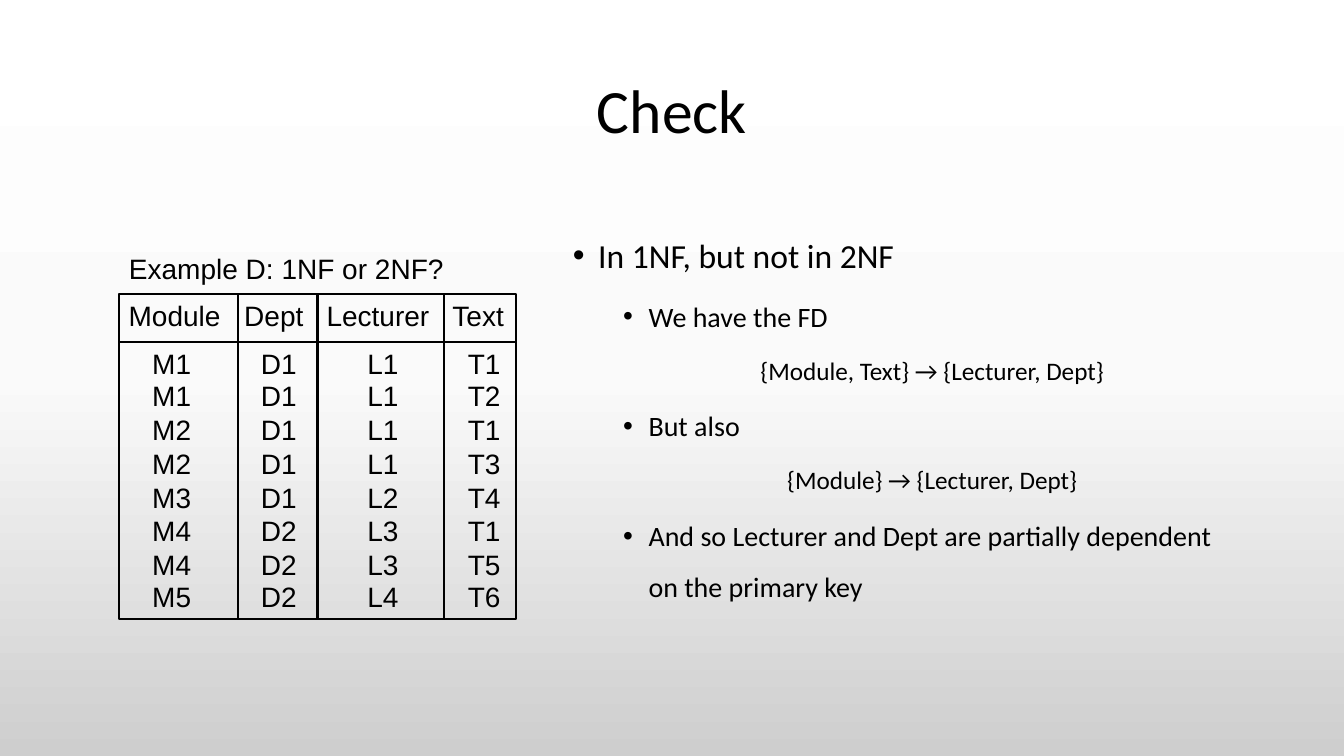
from copy import deepcopy
from dataclasses import dataclass
from itertools import accumulate

from lxml.etree import SubElement
from pptx import Presentation
from pptx.dml.color import RGBColor
from pptx.enum.shapes import MSO_CONNECTOR, MSO_SHAPE
from pptx.enum.text import MSO_ANCHOR, MSO_AUTO_SIZE, PP_ALIGN
from pptx.oxml.ns import qn
from pptx.util import Cm, Pt


@dataclass(frozen=True)
class Theme:
    ink: str = "000000"
    background: tuple = ((0, "FFFFFF"), (0.5, "FAFAFA"), (1, "CECECE"))
    text_font: str = "Calibri"
    table_font: str = "Arial"
    title: int = 44
    point: int = 24
    subpoint: int = 20
    formula: int = 18
    table: int = 20
    rule: float = 1.5


theme = Theme()


def style_runs(para, font_name, size):
    for span in para.runs:
        span.font.name = font_name
        span.font.size = Pt(size)
        span.font.color.rgb = RGBColor.from_string(theme.ink)


def style_line(line):
    line.color.rgb = RGBColor.from_string(theme.ink)
    line.width = Pt(theme.rule)


# Deck and page
deck = Presentation()
deck.slide_width, deck.slide_height = Cm(33.87), Cm(19.05)
page = deck.slides.add_slide(deck.slide_layouts[1])

# Background gradient, top to bottom
backdrop = page.background.fill
backdrop.gradient()
backdrop.gradient_angle = 270
stop_list = next(page._element.iter(qn("a:gsLst")))
stop_list.append(deepcopy(stop_list[-1]))
for stop, (position, color) in zip(backdrop.gradient_stops, theme.background):
    stop.position = position
    stop.color.rgb = RGBColor.from_string(color)

# Title
title = page.shapes.title
title.left, title.top, title.width, title.height = Cm(2.33), Cm(1.01), Cm(29.21), Cm(3.68)
title.text_frame.text = "Check"
title.text_frame.vertical_anchor = MSO_ANCHOR.MIDDLE
title_para = title.text_frame.paragraphs[0]
title_para.alignment = PP_ALIGN.CENTER
title_para.line_spacing = 0.9
style_runs(title_para, theme.text_font, theme.title)

# Answer list: text, size, level, bulleted
answers = [
    ("In 1NF, but not in 2NF", theme.point, 0, True),
    ("We have the FD", theme.subpoint, 1, True),
    ("{Module, Text} → {Lecturer, Dept}", theme.formula, 1, False),
    ("But also", theme.subpoint, 1, True),
    ("{Module} → {Lecturer, Dept}", theme.formula, 1, False),
    ("And so Lecturer and Dept are partially dependent on the primary key",
     theme.subpoint, 1, True),
]
body = page.placeholders[1]
body.left, body.top, body.width, body.height = Cm(14.18), Cm(5.29), Cm(17.36), Cm(12.07)
frame = body.text_frame
frame.auto_size = MSO_AUTO_SIZE.NONE
frame.vertical_anchor = MSO_ANCHOR.TOP
for index, (text, size, level, bulleted) in enumerate(answers):
    para = frame.add_paragraph() if index else frame.paragraphs[0]
    para.text = text
    para.level = level
    para.line_spacing = 1.5
    para.space_before = Pt(5 if index else 0)
    para.alignment = PP_ALIGN.LEFT if bulleted else PP_ALIGN.CENTER
    properties = para._p.get_or_add_pPr()
    properties.set("marL", str(Cm(0.64 + 1.27 * level)))
    properties.set("indent", str(-Cm(0.64)))
    if bulleted:
        bullet_color = SubElement(properties, qn("a:buClr"))
        SubElement(bullet_color, qn("a:srgbClr"), val=theme.ink)
        SubElement(properties, qn("a:buFont"), typeface="Arial")
        SubElement(properties, qn("a:buChar"), char="•")
    else:
        SubElement(properties, qn("a:buNone"))
    style_runs(para, theme.text_font, size)

# Table caption
caption = page.shapes.add_textbox(Cm(3), Cm(6.22), Cm(10), Cm(1.2))
caption.text_frame.word_wrap = True
caption.text_frame.text = "Example D: 1NF or 2NF?"
style_runs(caption.text_frame.paragraphs[0], theme.table_font, theme.table)

# Example table
records = [
    ("Module", "Dept", "Lecturer", "Text"),
    ("M1", "D1", "L1", "T1"),
    ("M1", "D1", "L1", "T2"),
    ("M2", "D1", "L1", "T1"),
    ("M2", "D1", "L1", "T3"),
    ("M3", "D1", "L2", "T4"),
    ("M4", "D2", "L3", "T1"),
    ("M4", "D2", "L3", "T5"),
    ("M5", "D2", "L4", "T6"),
]
column_widths = [3, 2, 3.2, 1.8]
row_heights = [1.2, 0.97] + [0.85] * 6 + [0.93]
left, top = 3, 7.41
right, bottom = left + sum(column_widths), top + sum(row_heights)
last_row = len(records) - 1
table = page.shapes.add_table(len(records), len(column_widths), Cm(left), Cm(top),
                              Cm(right - left), Cm(bottom - top)).table
table.first_row = table.horz_banding = False
# Built-in style "No Style, No Grid"
style_id = next(table._tbl.iter(qn("a:tableStyleId")))
style_id.text = "{2D5ABB26-0587-4C30-8999-92F81FD0307C}"
for column, width in zip(table.columns, column_widths):
    column.width = Cm(width)
for row, height in zip(table.rows, row_heights):
    row.height = Cm(height)

# Cell padding per column: header right, body left, body right
paddings = [(0.2, 0, 0.35), (0.2, 0.05, 0), (0.15, 0.1, 0), (0.1, 0.2, 0)]
for row_index, record in enumerate(records):
    for column_index, value in enumerate(record):
        cell = table.cell(row_index, column_index)
        cell.text = value
        header_right, body_left, body_right = paddings[column_index]
        cell.margin_top = 0
        cell.margin_bottom = 0 if row_index else Cm(0.08)
        cell.margin_left = Cm(body_left) if row_index else 0
        cell.margin_right = Cm(body_right if row_index else header_right)
        cell.vertical_anchor = {1: MSO_ANCHOR.BOTTOM, last_row: MSO_ANCHOR.TOP}.get(
            row_index, MSO_ANCHOR.MIDDLE)
        para = cell.text_frame.paragraphs[0]
        para.alignment = PP_ALIGN.CENTER
        style_runs(para, theme.table_font, theme.table)
        cell.fill.background()

# Table outline
outline = page.shapes.add_shape(MSO_SHAPE.RECTANGLE, Cm(left), Cm(top),
                                Cm(right - left), Cm(bottom - top))
outline.shadow.inherit = False
outline.fill.background()
style_line(outline.line)

# Rules: one below the header, one between neighbouring columns
header_bottom = top + row_heights[0]
rules = [(left, header_bottom, right, header_bottom)]
for offset in accumulate(column_widths[:-1]):
    rules.append((left + offset, top, left + offset, bottom))
for ends in rules:
    rule = page.shapes.add_connector(MSO_CONNECTOR.STRAIGHT, *map(Cm, ends))
    style_line(rule.line)
    SubElement(rule._element.spPr, qn("a:effectLst"))

deck.save("out.pptx")
